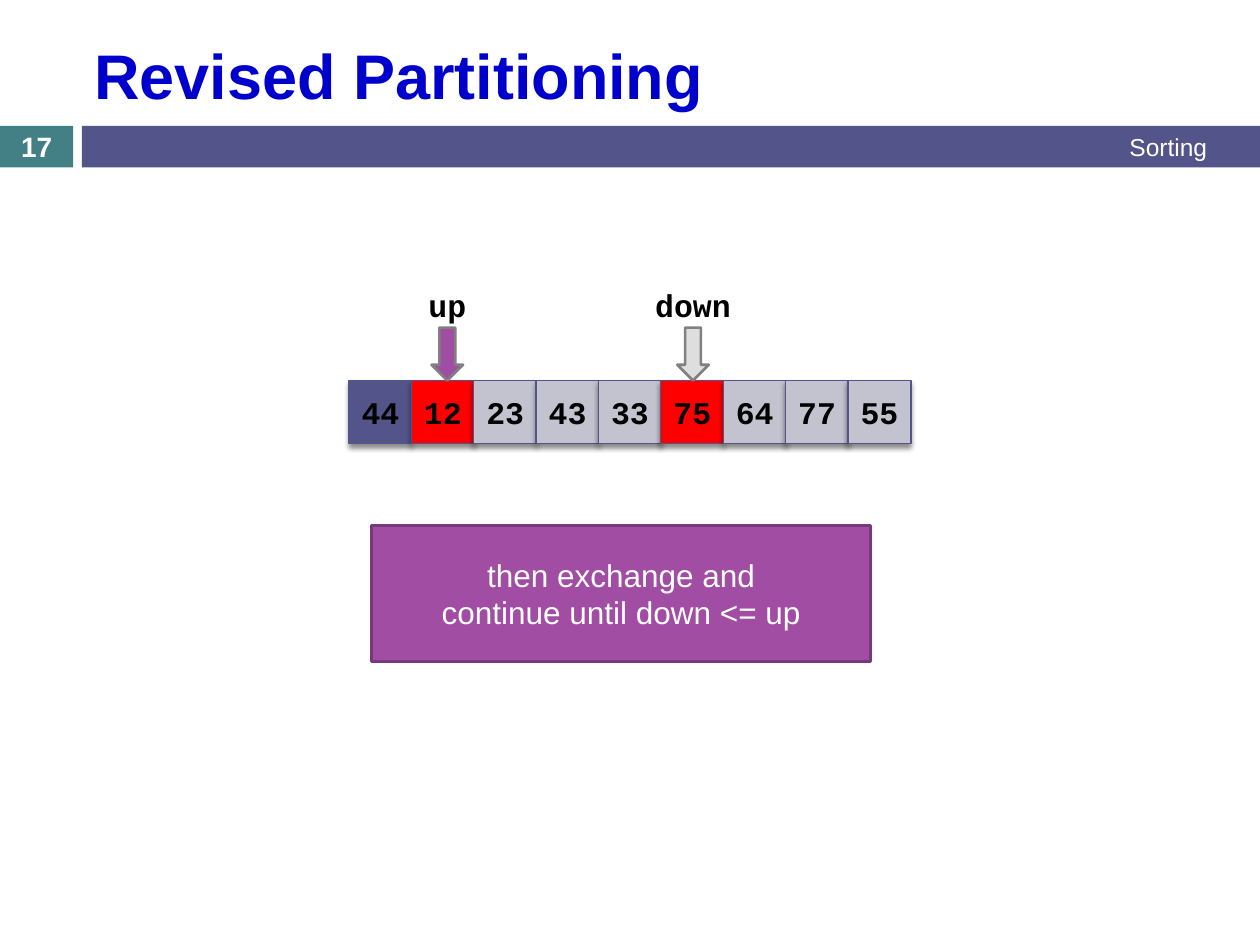
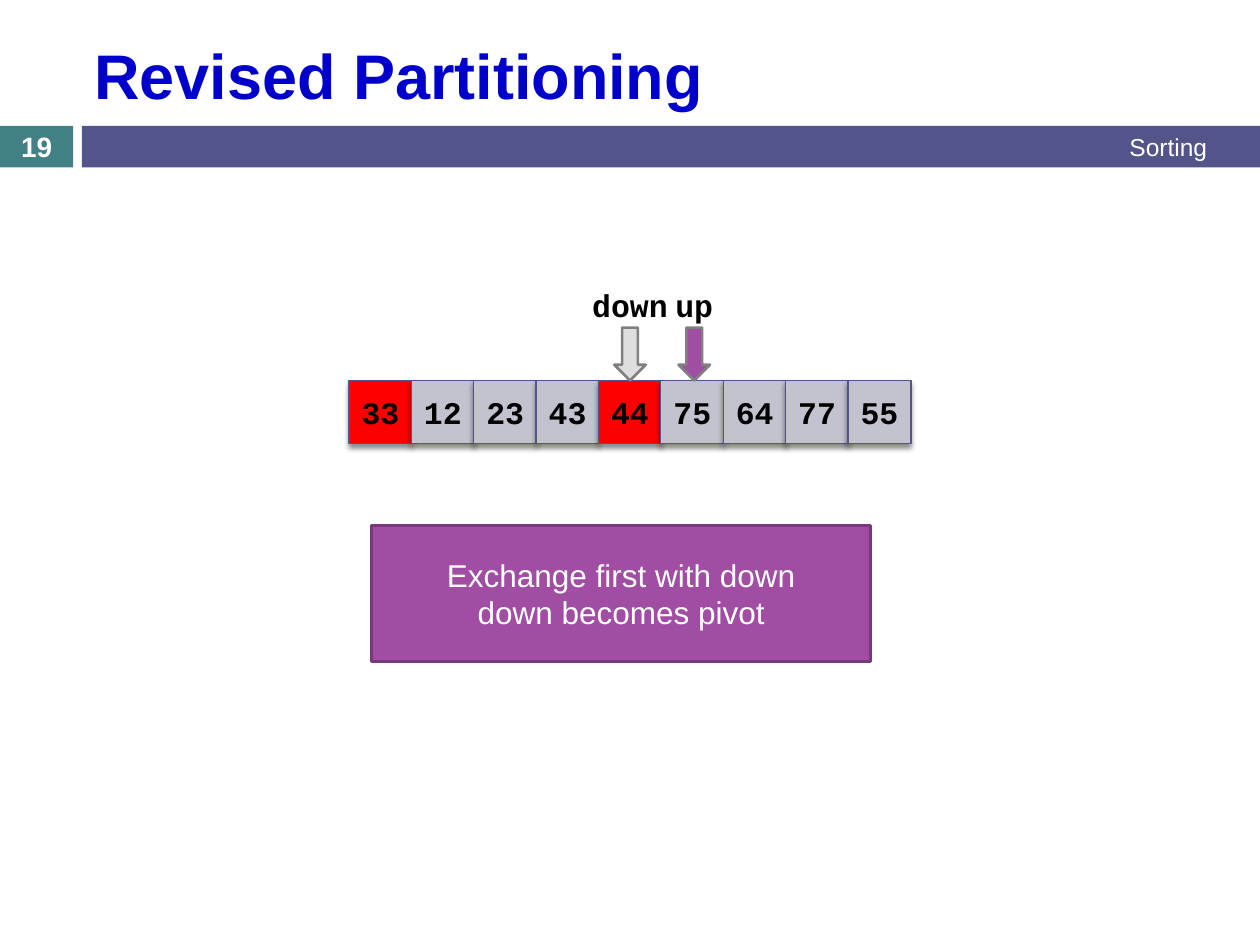
"""Builds two slides that show steps of the revised partitioning."""
from lxml.etree import SubElement
from pptx import Presentation
from pptx.dml.color import RGBColor
from pptx.enum.shapes import MSO_SHAPE
from pptx.enum.text import MSO_ANCHOR, PP_ALIGN
from pptx.oxml.ns import qn
from pptx.util import Inches, Pt

COLORS = {
    "title": "0000CC", "band": "53548A", "number": "438086",
    "pivot": "53548A", "active": "FF0000", "plain": "C3C3CF",
    "up": "A04DA3", "down": "DEDEDE", "arrow_edge": "808080",
    "note": "A04DA3", "note_edge": "763979", "white": "FFFFFF", "black": "000000",
}
SANS, MONO = "Arial", "Courier New"
CELL_LEFT, CELL_TOP, CELL_SIZE, CELL_PITCH = 2.77, 3.02, 0.5, 0.495
ARROW_WIDTH, ARROW_HEIGHT = 0.25, 0.42
LABEL_WIDTH, LABEL_TOP, LABEL_HEIGHT = 0.83, 2.22, 0.4

STEPS = [
    {
        "number": 17,
        "values": [44, 12, 23, 43, 33, 75, 64, 77, 55],
        "marks": {0: "pivot", 1: "active", 5: "active"},
        "pointers": {"up": 3.55, "down": 5.5},
        "note": ["then exchange and", "continue until down <= up"],
    },
    {
        "number": 19,
        "values": [33, 12, 23, 43, 44, 75, 64, 77, 55],
        "marks": {0: "active", 4: "active"},
        "pointers": {"up": 5.51, "down": 5.0},
        "note": ["Exchange first with down", "down becomes pivot"],
    },
]


def color(name):
    """Return the named colour."""
    return RGBColor.from_string(COLORS[name])


def write_text(holder, lines, *, size=18, font=SANS, ink="white", bold=False,
               align=PP_ALIGN.CENTER, anchor=MSO_ANCHOR.MIDDLE, side=0.1):
    """Write one paragraph per line into a shape."""
    frame = holder.text_frame
    frame.word_wrap = True
    frame.vertical_anchor = anchor
    frame.margin_left = frame.margin_right = Inches(side)
    frame.text = "\n".join(lines)
    for paragraph in frame.paragraphs:
        paragraph.alignment = align
        style = paragraph.runs[0].font
        style.size, style.name, style.bold = Pt(size), font, bold
        style.color.rgb = color(ink)


def add_label(shapes, text, left, top, width, height, **style):
    """Add a text box with one line."""
    label = shapes.add_textbox(Inches(left), Inches(top), Inches(width), Inches(height))
    write_text(label, [text], **style)


def add_block(shapes, preset, left, top, width, height, fill, edge=None, weight=1.5):
    """Add a filled shape with an optional outline."""
    block = shapes.add_shape(preset, Inches(left), Inches(top), Inches(width), Inches(height))
    block.shadow.inherit = False
    block.fill.solid()
    block.fill.fore_color.rgb = color(fill)
    if edge:
        block.line.color.rgb = color(edge)
        block.line.width = Pt(weight)
    else:
        block.line.fill.background()
    return block


def drop_shadow(block):
    """Give a shape a soft shadow straight below."""
    effects = block.element.spPr.find(qn("a:effectLst"))
    shadow = SubElement(effects, qn("a:outerShdw"), blurRad=str(Pt(3)), dist=str(Pt(2.4)),
                        dir="5400000", algn="ctr", rotWithShape="0")
    tint = SubElement(shadow, qn("a:srgbClr"), val=COLORS["black"])
    SubElement(tint, qn("a:alpha"), val="45000")


def add_frame(slide, number):
    """Add the title, the bands, the slide number and the topic."""
    shapes = slide.shapes
    add_block(shapes, MSO_SHAPE.RECTANGLE, 0, 1, 0.58, 0.33, "number")
    add_block(shapes, MSO_SHAPE.RECTANGLE, 0.65, 1, 9.35, 0.33, "band")
    add_label(shapes, "Sorting", 3.75, 0.99, 5.93, 0.35, size=14, align=PP_ALIGN.RIGHT)
    add_label(shapes, str(number), 0, 1, 0.58, 0.33, size=16, bold=True, side=0)
    add_label(shapes, "Revised Partitioning", 0.65, 0.19, 8.92, 0.8,
              size=36, ink="title", bold=True, align=PP_ALIGN.LEFT)


def add_array(slide, values, marks):
    """Add the row of cells, with the marked ones in their own colour."""
    cells = slide.shapes.add_group_shape().shapes
    for index, value in enumerate(values):
        cell = add_block(cells, MSO_SHAPE.RECTANGLE, CELL_LEFT + index * CELL_PITCH, CELL_TOP,
                         CELL_SIZE, CELL_SIZE, marks.get(index, "plain"), "band", 0.79)
        drop_shadow(cell)
        write_text(cell, [str(value)], font=MONO, ink="black", bold=True, side=0)


def add_pointer(slide, name, center):
    """Add a named arrow that points down at the array."""
    parts = slide.shapes.add_group_shape().shapes
    add_block(parts, MSO_SHAPE.DOWN_ARROW, center - ARROW_WIDTH / 2, CELL_TOP - ARROW_HEIGHT,
              ARROW_WIDTH, ARROW_HEIGHT, name, "arrow_edge")
    add_label(parts, name, center - LABEL_WIDTH / 2, LABEL_TOP, LABEL_WIDTH, LABEL_HEIGHT,
              font=MONO, ink="black", bold=True, anchor=MSO_ANCHOR.TOP)


def add_note(slide, lines):
    """Add the box that explains the step."""
    note = add_block(slide.shapes, MSO_SHAPE.RECTANGLE, 2.95, 4.17, 3.96, 1.08,
                     "note", "note_edge")
    write_text(note, lines)


def main():
    """Build and save the presentation."""
    deck = Presentation()
    deck.slide_width, deck.slide_height = Inches(10), Inches(7.5)
    for step in STEPS:
        slide = deck.slides.add_slide(deck.slide_layouts[6])
        add_frame(slide, step["number"])
        add_array(slide, step["values"], step["marks"])
        add_note(slide, step["note"])
        for name, center in step["pointers"].items():
            add_pointer(slide, name, center)
    deck.save("out.pptx")


if __name__ == "__main__":
    main()
